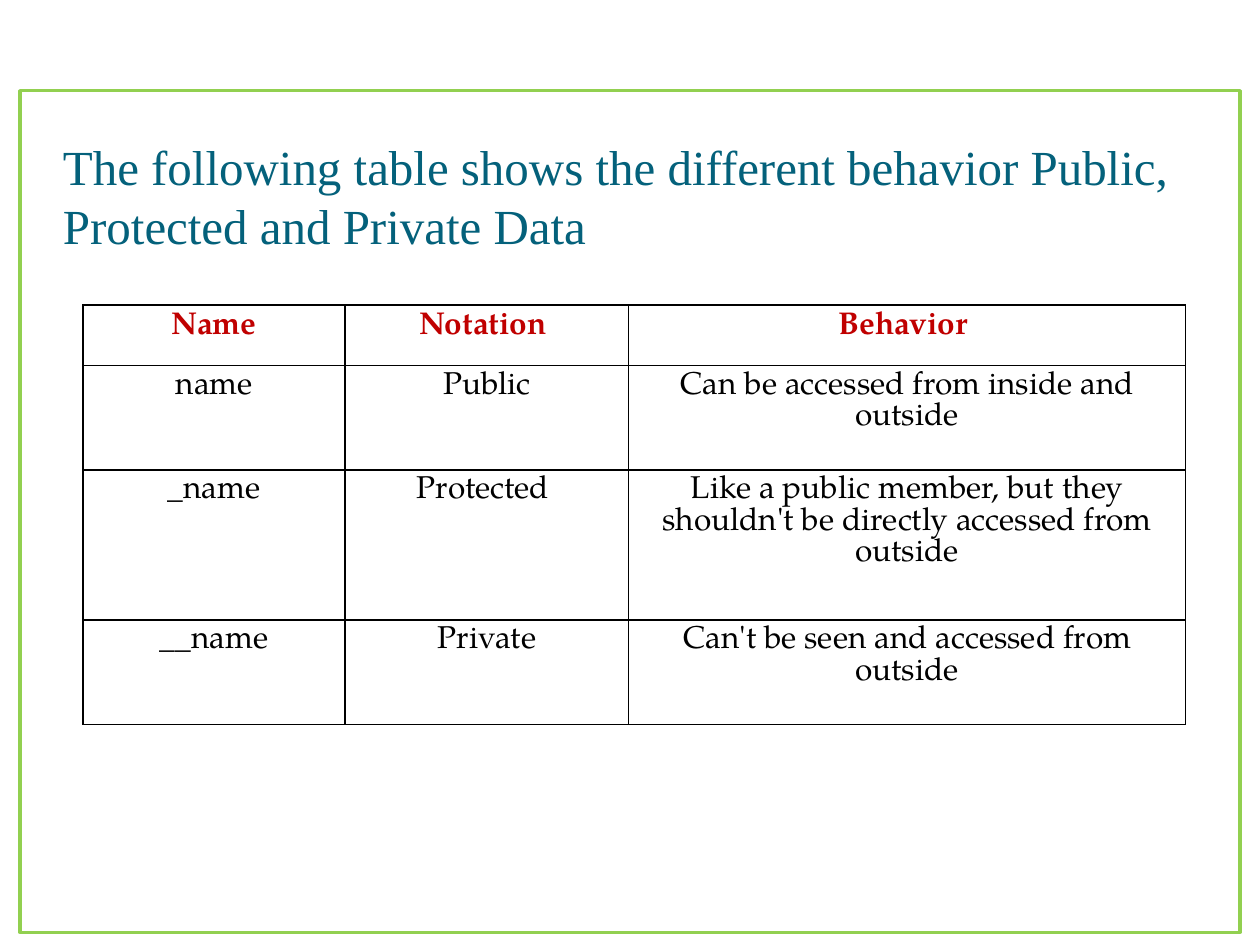
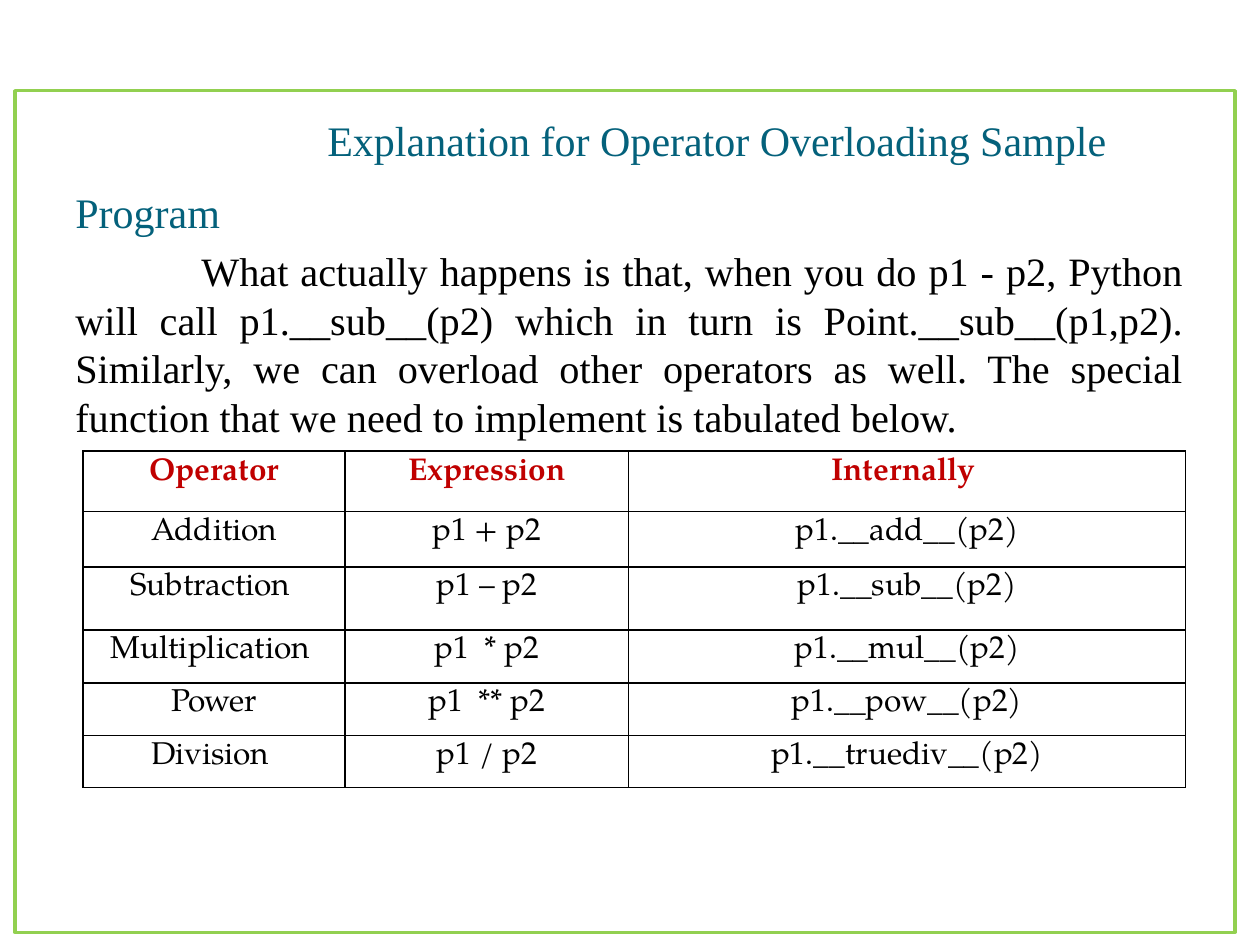
from lxml.etree import SubElement
from pptx import Presentation
from pptx.dml.color import RGBColor
from pptx.enum.shapes import MSO_SHAPE as Preset
from pptx.enum.text import MSO_ANCHOR as Anchor, PP_ALIGN as Align
from pptx.oxml.ns import qn
from pptx.util import Inches, Pt

COLOURS = {"title": "04617B", "header": "C00000", "text": "000000", "frame": "92D050"}
SERIF, TABLE_FONT = "Times New Roman", "TeX Gyre Pagella"
TABLE_LEFT, COLUMN_WIDTHS = 0.66, (2.08, 2.25, 4.42)
TAB_STOPS = (1, 2)


def colour(name):
    return RGBColor.from_string(COLOURS[name])


class Deck:
    def __init__(self):
        self.presentation = Presentation()
        self.presentation.slide_width = Inches(10)
        self.presentation.slide_height = Inches(7.5)
        self.slide = None

    def new_slide(self):
        self.slide = self.presentation.slides.add_slide(self.presentation.slide_layouts[6])

    def run(self, paragraph, text, size, colour_name, font=SERIF, bold=False):
        run = paragraph.add_run()
        run.text = text
        for name, value in {"name": font, "size": Pt(size), "bold": bold}.items():
            setattr(run.font, name, value)
        run.font.color.rgb = colour(colour_name)

    def tab_stops(self, paragraph):
        stops = SubElement(paragraph._p.get_or_add_pPr(), qn("a:tabLst"))
        for position in TAB_STOPS:
            SubElement(stops, qn("a:tab"), pos=str(Inches(position)), algn="l")

    def text(self, left, top, width, height, paragraphs, **frame_format):
        box = self.slide.shapes.add_textbox(*map(Inches, (left, top, width, height)))
        frame = box.text_frame
        for name, value in {"word_wrap": True, **frame_format}.items():
            setattr(frame, name, value)
        for index, (align, runs) in enumerate(paragraphs):
            paragraph = frame.add_paragraph() if index else frame.paragraphs[0]
            paragraph.alignment = align
            self.tab_stops(paragraph)
            for run in runs:
                self.run(paragraph, *run)

    def cell_borders(self, cell):
        properties = cell._tc.get_or_add_tcPr()
        for index, side in enumerate(("lnL", "lnR", "lnT", "lnB")):
            line = properties.makeelement(qn(f"a:{side}"), {"w": str(Pt(1))})
            fill = SubElement(line, qn("a:solidFill"))
            SubElement(fill, qn("a:srgbClr"), val=COLOURS["text"])
            properties.insert(index, line)

    def table(self, top, row_heights, rows):
        sizes = (TABLE_LEFT, top, sum(COLUMN_WIDTHS), sum(row_heights))
        table = self.slide.shapes.add_table(
            len(rows), len(COLUMN_WIDTHS), *map(Inches, sizes)).table
        for column, width in zip(table.columns, COLUMN_WIDTHS):
            column.width = Inches(width)
        for row_index, (row, height) in enumerate(zip(rows, row_heights)):
            table.rows[row_index].height = Inches(height)
            header = row_index == 0
            for column_index, text in enumerate(row):
                cell = table.cell(row_index, column_index)
                cell.fill.background()
                self.cell_borders(cell)
                paragraph = cell.text_frame.paragraphs[0]
                paragraph.alignment = Align.CENTER
                paragraph.line_spacing = Pt(18)
                self.run(paragraph, text, 18, "header" if header else "text",
                         TABLE_FONT, header)

    def frame(self, left):
        shape = self.slide.shapes.add_shape(
            Preset.RECTANGLE, *map(Inches, (left, 0.72, 9.68, 6.68)))
        shape.shadow.inherit = False
        shape.fill.background()
        shape.line.color.rgb = colour("frame")
        shape.line.width = Pt(2)


def access_slide(deck):
    deck.new_slide()
    title = "The following table shows the different behavior Public, Protected and Private Data"
    deck.text(0.5, 1.09, 9, 0.93, [(Align.LEFT, [(title, 28, "title")])],
              vertical_anchor=Anchor.BOTTOM, margin_left=0, margin_right=0, margin_bottom=0)
    deck.table(2.42, (0.48, 0.83, 1.19, 0.83), [
        ("Name", "Notation ", "Behavior "),
        ("name", "Public", "Can be accessed from inside and outside"),
        ("_name", "Protected ",
         "Like a public member, but they shouldn't be directly accessed from outside"),
        ("__name", "Private", "Can't be seen and accessed from outside"),
    ])
    deck.frame(0.16)


def operator_slide(deck):
    deck.new_slide()
    explanation = (
        "What actually happens is that, when you do p1 - p2, Python will "
        "call p1.__sub__(p2) which in turn is Point.__sub__(p1,p2). Similarly, we can "
        "overload other operators as well. The special function that we need to "
        "implement is tabulated below.")
    deck.text(0.5, 0.83, 9, 2.66, [
        (Align.LEFT, [("\t\t", 26, "text"),
                      ("Explanation for Operator Overloading Sample Program", 24, "title"),
                      (" ", 36, "title")]),
        (Align.JUSTIFY, [("\t", 26, "text"), (explanation, 23, "text")]),
    ])
    operators = [("Addition", "+", "add"), ("Subtraction ", "–", "sub"),
                 ("Multiplication ", " *", "mul"), ("Power", " **", "pow"),
                 ("Division ", "/", "truediv")]
    deck.table(3.58, (0.48, 0.44, 0.5, 0.42, 0.42, 0.41), [
        ("Operator", "Expression", "Internally "),
        *((name, f"p1 {sign} p2", f"p1.__{method}__(p2)")
          for name, sign, method in operators),
    ])
    deck.frame(0.12)


def main():
    deck = Deck()
    access_slide(deck)
    operator_slide(deck)
    deck.presentation.save("out.pptx")


if __name__ == "__main__":
    main()
